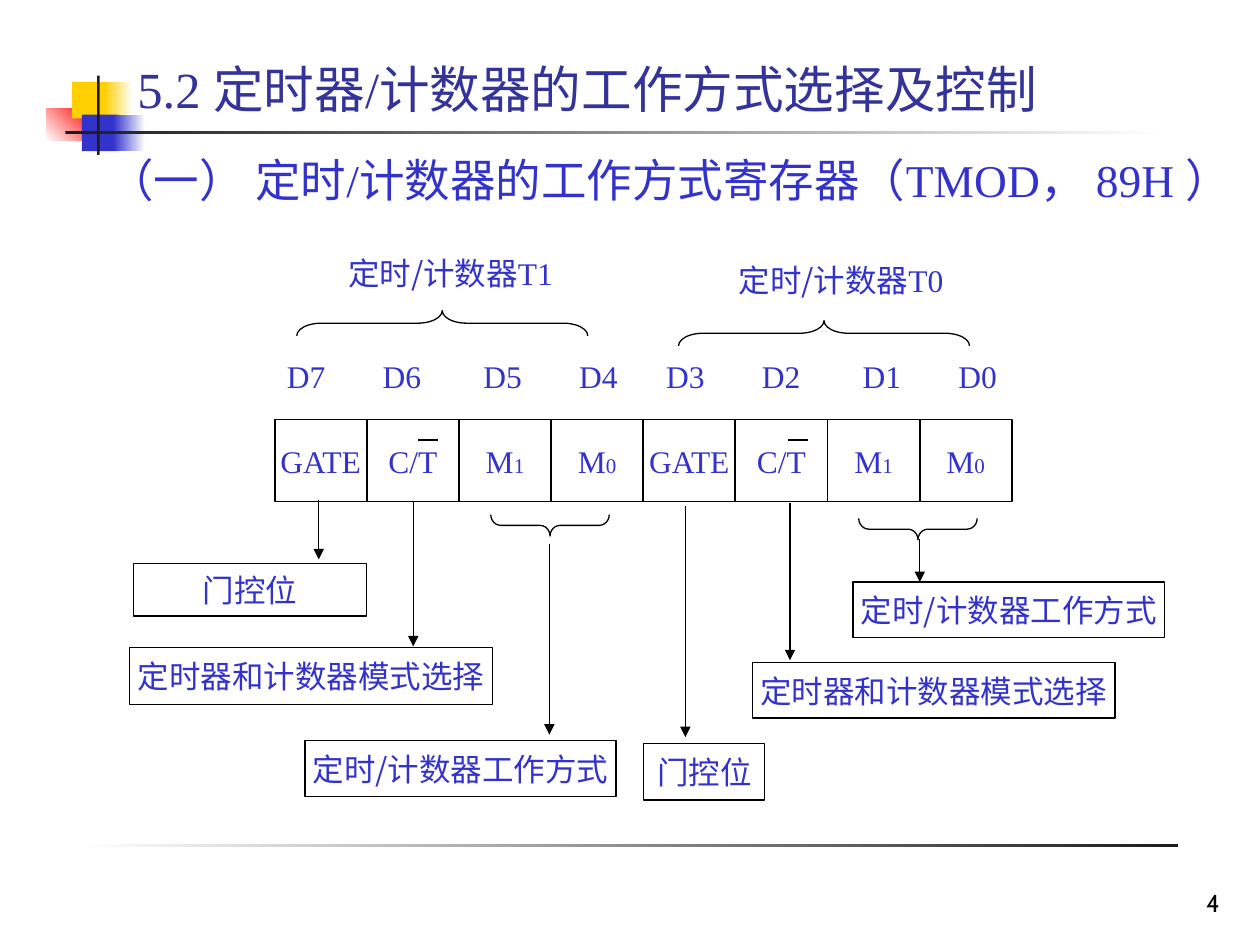
from typing import NamedTuple

from lxml.etree import SubElement
from pptx import Presentation
from pptx.dml.color import RGBColor
from pptx.enum.shapes import MSO_CONNECTOR, MSO_SHAPE
from pptx.enum.text import MSO_ANCHOR, MSO_AUTO_SIZE, PP_ALIGN
from pptx.oxml.ns import qn
from pptx.util import Inches, Pt

BLUE = "3333CC"
BLACK = "000000"
DARK = "1C1C1C"
WHITE = "FFFFFF"
YELLOW = "FFCF01"
SERIF = "Times New Roman"
CHINESE = "Noto Sans CJK SC"


class Box(NamedTuple):
    left: float
    top: float
    width: float
    height: float


class Run(NamedTuple):
    text: str
    size: float = 18
    font: str = SERIF


class Decoration(NamedTuple):
    box: Box
    colors: tuple[str, ...]
    angle: float = 0


class Brace(NamedTuple):
    box: Box
    rotation: float
    curve: float


class Arrow(NamedTuple):
    x: float
    top: float
    bottom: float


class Label(NamedTuple):
    box: Box
    text: str


DECORATIONS = [
    Decoration(Box(0.37, 0.86, 0.38, 0.26), (WHITE, "FF0000"), 45),
    Decoration(Box(0.57, 0.65, 0.29, 0.29), (YELLOW,)),
    Decoration(Box(0.83, 0.65, 0.22, 0.29), (YELLOW, WHITE)),
    Decoration(Box(0.65, 0.91, 0.29, 0.29), (BLUE,)),
    Decoration(Box(0.9, 0.91, 0.25, 0.29), (BLUE, WHITE)),
    Decoration(Box(0.52, 1.04, 8.73, 0.02), (DARK, WHITE)),
    Decoration(Box(0.77, 0.6, 0.02, 0.63), (DARK,)),
    Decoration(Box(0.62, 6.7, 8.73, 0.02), (WHITE, DARK)),
]
FIELDS = [
    [Run("GATE")],
    [Run("C/T")],
    [Run("M"), Run("1", 12)],
    [Run("M"), Run("0", 12)],
]
BIT_OFFSETS = [0, 0.76, 1.56, 2.32]
BRACES = [
    Brace(Box(3.41, 1.41, 0.2, 2.31), 270, 0.97),
    Brace(Box(6.44, 1.49, 0.2, 2.31), 270, 0.97),
    Brace(Box(4.28, 3.7, 0.17, 0.94), 90, 0.47),
    Brace(Box(7.2, 3.73, 0.17, 0.94), 90, 0.47),
]
ARROWS = [
    Arrow(2.53, 3.97, 4.44),
    Arrow(3.28, 3.98, 5.13),
    Arrow(4.36, 4.32, 5.83),
    Arrow(5.44, 4.02, 5.85),
    Arrow(6.27, 3.99, 5.24),
    Arrow(7.3, 4.28, 4.62),
]
LABELS = [
    Label(Box(1.06, 4.47, 1.85, 0.42), "门控位"),
    Label(Box(1.03, 5.14, 2.88, 0.45), "定时器和计数器模式选择"),
    Label(Box(2.42, 5.88, 2.47, 0.44), "定时/计数器工作方式"),
    Label(Box(5.11, 5.9, 0.96, 0.45), "门控位"),
    Label(Box(5.97, 5.26, 2.88, 0.44), "定时器和计数器模式选择"),
    Label(Box(6.77, 4.62, 2.47, 0.44), "定时/计数器工作方式"),
]


def color(value: str) -> RGBColor:
    return RGBColor.from_string(value)


def place(shape, box: Box) -> None:
    shape.left, shape.top, shape.width, shape.height = map(Inches, box)


def write_text(shape, runs: list[Run], *, fill: str = BLUE, align=PP_ALIGN.CENTER,
               anchor=MSO_ANCHOR.MIDDLE, wrap: bool = False):
    frame = shape.text_frame
    frame.auto_size = MSO_AUTO_SIZE.NONE
    frame.word_wrap = wrap
    frame.vertical_anchor = anchor
    paragraph = frame.paragraphs[0]
    paragraph.alignment = align
    for item in runs:
        run = paragraph.add_run()
        run.text = item.text
        run.font.size = Pt(item.size)
        run.font.name = item.font
        run.font.color.rgb = color(fill)
        properties = run.font._element
        SubElement(properties, qn("a:ea")).set("typeface", CHINESE)
    return paragraph


def add_text(slide, box: Box, runs: list[Run], **style) -> None:
    write_text(slide.shapes.add_textbox(*map(Inches, box)), runs, **style)


def add_preset(slide, preset, box: Box, line: float = 0):
    shape = slide.shapes.add_shape(preset, *map(Inches, box))
    shape.shadow.inherit = False
    shape.fill.background()
    if line:
        shape.line.color.rgb = color(BLACK)
        shape.line.width = Pt(line)
    else:
        shape.line.fill.background()
    return shape


def add_decoration(slide, decoration: Decoration) -> None:
    fill = add_preset(slide, MSO_SHAPE.RECTANGLE, decoration.box).fill
    if len(decoration.colors) == 1:
        fill.solid()
        fill.fore_color.rgb = color(decoration.colors[0])
        return
    fill.gradient()
    fill.gradient_angle = decoration.angle
    for stop, value in zip(fill.gradient_stops, decoration.colors):
        stop.color.rgb = color(value)


def add_framed_text(slide, box: Box, runs: list[Run], line: float) -> None:
    write_text(add_preset(slide, MSO_SHAPE.RECTANGLE, box, line), runs)


def add_brace(slide, brace: Brace) -> None:
    shape = add_preset(slide, MSO_SHAPE.RIGHT_BRACE, brace.box, 0.75)
    shape.rotation = brace.rotation
    shape.adjustments[0] = brace.curve


def add_line(slide, start: tuple[float, float], end: tuple[float, float],
             width: float, arrow: bool = False) -> None:
    connector = slide.shapes.add_connector(
        MSO_CONNECTOR.STRAIGHT, *map(Inches, (*start, *end)))
    connector.line.color.rgb = color(BLACK)
    connector.line.width = Pt(width)
    if arrow:
        SubElement(connector.line._get_or_add_ln(), qn("a:tailEnd")).set("type", "triangle")
    SubElement(connector._element.spPr, qn("a:effectLst"))


def add_headings(slide) -> None:
    title, body = slide.placeholders
    place(title, Box(0.99, 0.43, 9.01, 0.6))
    paragraph = write_text(title, [Run("5.2 定时器/计数器的工作方式选择及控制", 28.9)],
                           fill="333399", align=PP_ALIGN.LEFT, wrap=True)
    paragraph.line_spacing = 0.9
    place(body, Box(0.76, 1.16, 9.24, 0.97))
    paragraph = write_text(body, [Run("（一） 定时/计数器的工作方式寄存器（TMOD， 89H ）", 26)],
                           align=PP_ALIGN.LEFT, anchor=MSO_ANCHOR.TOP, wrap=True)
    paragraph.space_before = Pt(16.2)
    properties = paragraph._p.get_or_add_pPr()
    properties.set("marL", "0")
    properties.set("indent", "0")
    SubElement(properties, qn("a:buNone"))


def add_register(slide) -> None:
    cell_width = 5.85 / 8
    for index, runs in enumerate(FIELDS * 2):
        left = 2.18 + index * cell_width
        add_framed_text(slide, Box(left, 3.33, cell_width, 0.65), runs, 1)
        half, position = divmod(index, 4)
        bit_left = 2.18 + half * 3.01 + BIT_OFFSETS[position]
        add_text(slide, Box(bit_left, 2.78, 0.5, 0.4), [Run(f"D{7 - index}")])
    for left in (3.32, 6.25):
        add_line(slide, (left, 3.49), (left + 0.16, 3.49), 1)


def main() -> None:
    presentation = Presentation()
    presentation.slide_width, presentation.slide_height = Inches(10), Inches(7.5)
    slide = presentation.slides.add_slide(presentation.slide_layouts[1])
    for decoration in DECORATIONS:
        add_decoration(slide, decoration)
    add_headings(slide)
    add_register(slide)
    for timer, left, top in (("T1", 2.34, 1.95), ("T0", 5.44, 2)):
        add_text(slide, Box(left, top, 2.47, 0.44), [Run("定时/计数器", font=CHINESE), Run(timer)])
    for brace in BRACES:
        add_brace(slide, brace)
    for label in LABELS:
        add_framed_text(slide, label.box, [Run(label.text, font=CHINESE)], 0.75)
    for arrow in ARROWS:
        add_line(slide, (arrow.x, arrow.top), (arrow.x, arrow.bottom), 0.75, arrow=True)
    add_text(slide, Box(7.7, 6.83, 2.08, 0.5), [Run("4", 14, "Cabin")], fill=BLACK,
             align=PP_ALIGN.RIGHT, anchor=MSO_ANCHOR.BOTTOM, wrap=True)
    presentation.save("out.pptx")


if __name__ == "__main__":
    main()
